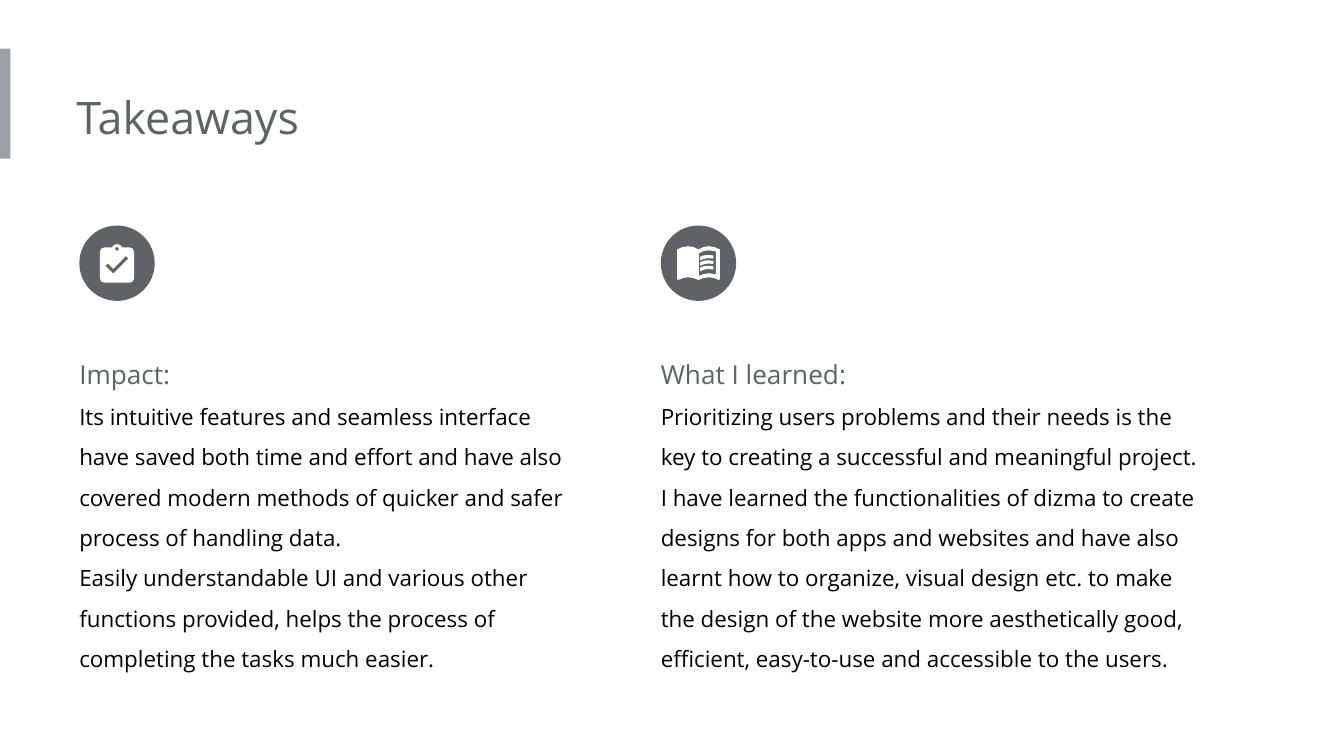
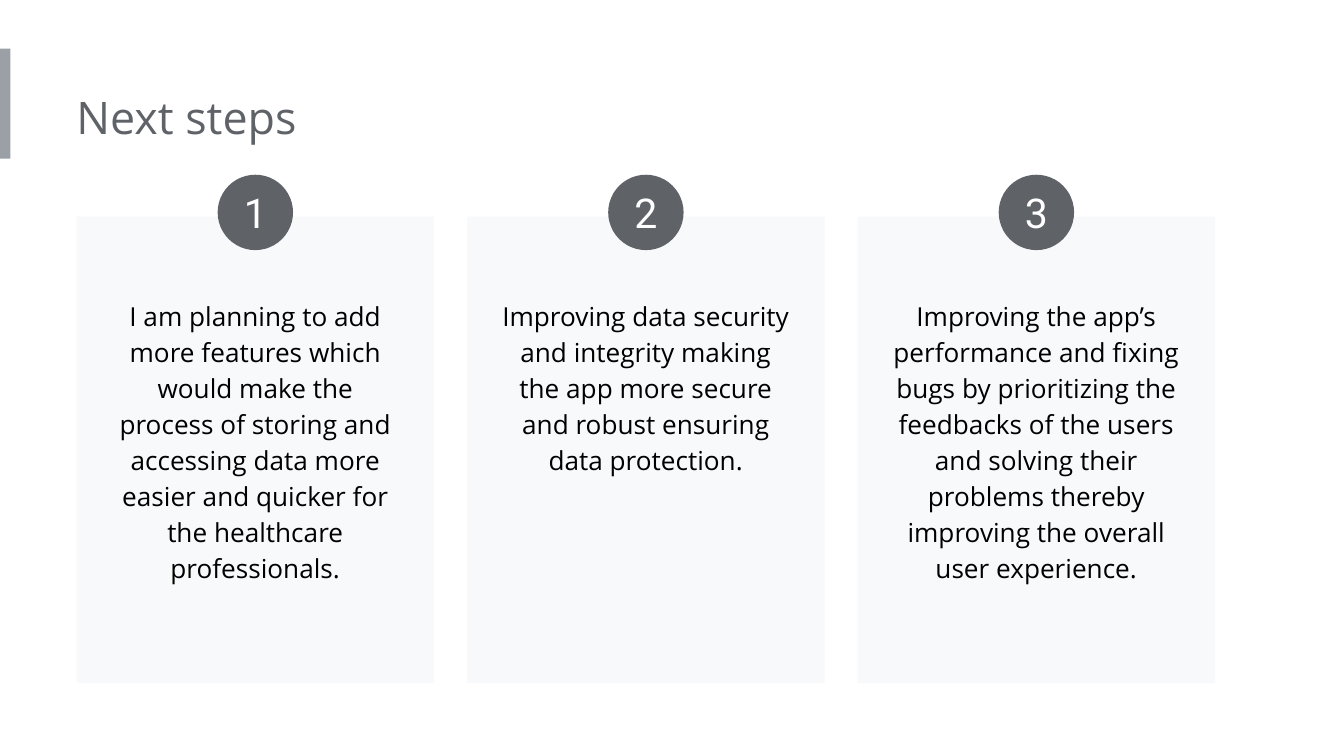
from pptx import Presentation
from pptx.dml.color import RGBColor
from pptx.enum.shapes import MSO_SHAPE as Preset
from pptx.enum.text import MSO_ANCHOR as Anchor, MSO_AUTO_SIZE as AutoSize, PP_ALIGN as Align
from pptx.util import Pt

WHITE = RGBColor(0xFF, 0xFF, 0xFF)
BLACK = RGBColor(0x00, 0x00, 0x00)
SLATE = RGBColor(0x5F, 0x63, 0x68)
BAR_GREY = RGBColor(0x9A, 0xA0, 0xA6)
CARD_GREY = RGBColor(0xF8, 0xF9, 0xFA)

TITLE = {"size": 24, "name": "Open Sans", "color": SLATE}
HEADING = {"size": 14, "name": "Open Sans", "color": SLATE}
BODY = {"size": 12, "name": "Open Sans", "color": BLACK}
STEP = {"size": 14, "name": "Open Sans", "color": BLACK}
NUMBER = {"size": 22, "name": "Roboto", "color": WHITE}

CIRCLE = 40.4


def paint(shape, colour):
    shape.shadow.inherit = False
    shape.fill.solid()
    shape.fill.fore_color.rgb = colour
    shape.line.fill.background()
    return shape


def write(shape, lines, insets, align=Align.LEFT, spacing=1.0, **settings):
    frame = shape.text_frame
    sides = dict(zip(("left", "top", "right", "bottom"), insets))
    for side, inset in sides.items():
        setattr(frame, f"margin_{side}", Pt(inset))
    for name, value in ({"word_wrap": True} | settings).items():
        setattr(frame, name, value)
    for index, (text, style) in enumerate(lines):
        para = frame.add_paragraph() if index else frame.paragraphs[0]
        para.alignment = align
        para.line_spacing = spacing
        span = para.add_run()
        span.text = text
        span.font.size = Pt(style["size"])
        span.font.name = style["name"]
        span.font.color.rgb = style["color"]


deck = Presentation()
deck.slide_width, deck.slide_height = Pt(720), Pt(405)
pages = []
for title in ("Takeaways", "Next steps"):
    page = deck.slides.add_slide(deck.slide_layouts[6])
    bar = page.shapes.add_shape(Preset.RECTANGLE, 0, Pt(26), Pt(5.6), Pt(59))
    paint(bar, BAR_GREY)
    box = page.shapes.add_textbox(Pt(41), Pt(41), Pt(388), Pt(44))
    write(box, [(title, TITLE)], (0, 7.2, 7.2, 7.2), auto_size=AutoSize.SHAPE_TO_FIT_TEXT)
    pages.append(page)
takeaways, next_steps = pages

clipboard = [
    (6.8, -8.4), (2.8, -8.4), (1.7, -9.7), (0, -10.2), (-1.7, -9.7), (-2.8, -8.4),
    (-6.8, -8.4), (-8.5, -7.7), (-9.2, -6), (-9.2, 8.1), (-8.5, 9.8), (-6.8, 10.5),
    (6.8, 10.5), (8.5, 9.8), (9.2, 8.1), (9.2, -6), (8.5, -7.7),
]
clip_hole = [
    (0, -8.6), (0.7, -8.3), (1, -7.6), (0.7, -6.9),
    (0, -6.6), (-0.7, -6.9), (-1, -7.6), (-0.7, -8.3),
]
check_mark = [(-2, 5.7), (-6.2, 1.5), (-4.9, 0.2), (-2, 3.1), (4.8, -3.8), (6.1, -2.5)]

left_cover = [
    (0, -7.3), (-2.5, -8.6), (-5.7, -9.1), (-9, -8.5), (-11.5, -7.3),
    (-11.5, 8.5), (-10.9, 9), (-8.5, 8), (-5.7, 7.5), (-2.5, 8),
]
right_cover = [(-x, y) for x, y in reversed(left_cover[1:])]
book = left_cover + [(0, 9)] + right_cover
right_page = [
    (0.2, -5.2), (2.8, -6.5), (5.7, -6.9), (9.4, -6.3),
    (9.4, 6), (5.7, 5.4), (2.8, 5.8), (0.2, 6.8),
]
text_line = [
    (0.9, -3.4), (3, -4.2), (5.4, -4.4), (8, -4.1),
    (8, -2.4), (5.4, -2.7), (3, -2.3), (0.9, -1.5),
]
text_lines = [[[(x, y + 2.9 * row) for x, y in text_line]] for row in range(3)]

columns = [
    (42.5, 271.4, [[clipboard, clip_hole, check_mark]], "Impact:", [
        "Its intuitive features and seamless interface have saved both time and effort "
        "and have also covered modern methods of quicker and safer process of handling data.",
        "Easily understandable UI and various other functions provided, helps the process "
        "of completing the tasks much easier.",
    ]),
    (354, 301.7, [[book, right_page]] + text_lines, "What I learned:", [
        "Prioritizing users problems and their needs is the key to creating a successful "
        "and meaningful project.",
        "I have learned the functionalities of dizma to create designs for both apps and "
        "websites and have also learnt how to organize, visual design etc. to make the "
        "design of the website more aesthetically good, efficient, easy-to-use and "
        "accessible to the users.",
    ]),
]
icon_top = 120.8
for left, width, figures, heading, texts in columns:
    box = takeaways.shapes.add_textbox(Pt(left), Pt(176.4), Pt(width), Pt(193))
    lines = [(heading, HEADING)] + [(text, BODY) for text in texts]
    write(box, lines, (0, 7.2, 7.2, 7.2), spacing=1.5, auto_size=AutoSize.SHAPE_TO_FIT_TEXT)
    circle = takeaways.shapes.add_shape(
        Preset.OVAL, Pt(left), Pt(icon_top), Pt(CIRCLE), Pt(CIRCLE))
    paint(circle, SLATE)
    centre_x, centre_y = left + CIRCLE / 2, icon_top + CIRCLE / 2
    for contours in figures:
        outline = None
        for contour in contours:
            points = [(Pt(centre_x + x), Pt(centre_y + y)) for x, y in contour]
            if outline is None:
                outline = takeaways.shapes.build_freeform(*points[0])
            else:
                outline.move_to(*points[0])
            outline.add_line_segments(points[1:], close=True)
        paint(outline.convert_to_shape(), WHITE)

steps = [
    (170.6, 170.6, "I am planning to add more features which would make the process of storing "
     "and accessing data more easier and quicker for the healthcare professionals."),
    (172.8, 112.3, "Improving data security and integrity making the app more secure and robust "
     "ensuring data protection."),
    (175, 170.6, "Improving the app’s performance and fixing bugs by prioritizing the feedbacks "
     "of the users and solving their problems thereby improving the overall user experience."),
]
card_width, card_pitch = 191.6, 209.2
for index, (width, height, text) in enumerate(steps):
    left = 41 + index * card_pitch
    centre = left + card_width / 2
    card = next_steps.shapes.add_shape(
        Preset.RECTANGLE, Pt(left), Pt(116), Pt(card_width), Pt(250))
    paint(card, CARD_GREY)
    box = next_steps.shapes.add_textbox(
        Pt(centre - width / 2), Pt(151.2), Pt(width), Pt(height))
    write(box, [(text, STEP)], (7.2,) * 4, Align.CENTER, 1.15,
          auto_size=AutoSize.SHAPE_TO_FIT_TEXT)
    circle = next_steps.shapes.add_shape(
        Preset.OVAL, Pt(centre - CIRCLE / 2), Pt(93.6), Pt(CIRCLE), Pt(CIRCLE))
    paint(circle, SLATE)
    write(circle, [(str(index + 1), NUMBER)], (0,) * 4, Align.CENTER,
          vertical_anchor=Anchor.MIDDLE)

deck.save("out.pptx")
